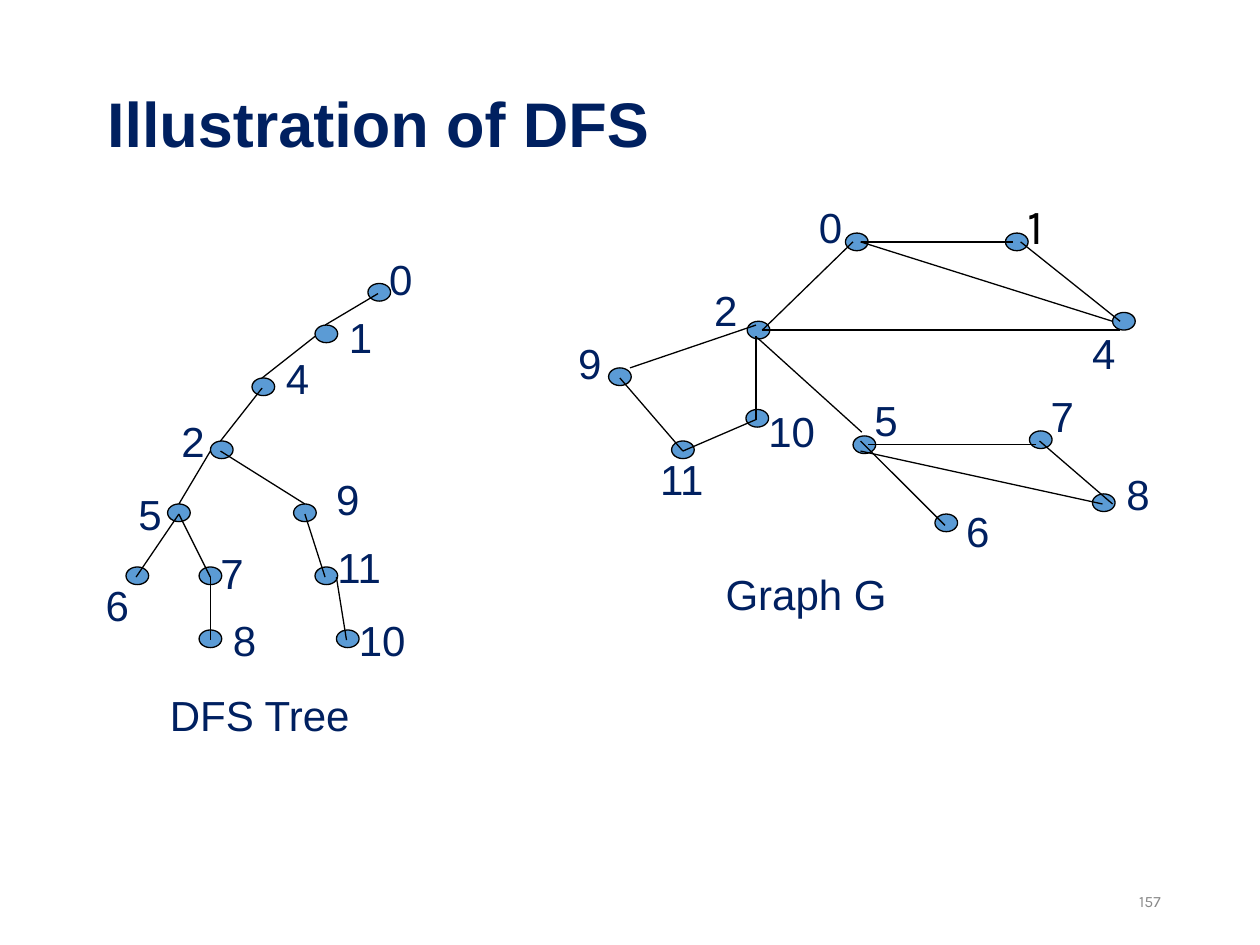
"""Build the slide that compares graph G with its depth-first search tree."""
from dataclasses import dataclass

from lxml.etree import SubElement
from pptx import Presentation
from pptx.dml.color import RGBColor
from pptx.enum.shapes import MSO_CONNECTOR, MSO_SHAPE
from pptx.enum.text import MSO_ANCHOR as Anchor, MSO_AUTO_SIZE as AutoSize, PP_ALIGN as Align
from pptx.oxml.ns import qn
from pptx.shapes.base import BaseShape
from pptx.slide import Slide
from pptx.util import Emu, Pt

EMU_PER_PX = 9144
COLORS = {"ink": "002060", "node": "5B9BD5", "edge": "000000", "number": "898989"}
NODE_W, NODE_H = 18, 14
LABEL_H = 50
LABEL_WIDTHS = {1: 38, 2: 57}
LABEL_FONT = {"name": "Arial", "size": Pt(24), "bold": False}
TITLE_FONT = {"name": "Arial", "size": Pt(36), "bold": True}
NUMBER_FONT = {"name": "Karla", "size": Pt(9)}
ODD_LABEL_FONT = {"name": "Karla", "size": Pt(28)}
LABEL_FRAME = {"word_wrap": False, "auto_size": AutoSize.SHAPE_TO_FIT_TEXT}
FIXED_FRAME = {"word_wrap": True, "auto_size": AutoSize.NONE, "vertical_anchor": Anchor.MIDDLE}


@dataclass(frozen=True)
class Vertex:
    name: str
    x: int
    y: int
    label_x: int
    label_y: int


@dataclass(frozen=True)
class Edge:
    x1: int
    y1: int
    x2: int
    y2: int


@dataclass(frozen=True)
class Caption:
    text: str
    x: int
    y: int
    width: int


@dataclass(frozen=True)
class Diagram:
    vertices: tuple[Vertex, ...]
    edges: tuple[Edge, ...]
    caption: Caption


GRAPH = Diagram(
    (
        Vertex("0", 671, 185, 640, 155),
        Vertex("1", 798, 185, 806, 150),
        Vertex("2", 593, 255, 557, 221),
        Vertex("4", 883, 248, 857, 255),
        Vertex("5", 677, 346, 684, 308),
        Vertex("6", 742, 408, 757, 396),
        Vertex("7", 817, 342, 824, 305),
        Vertex("8", 867, 392, 884, 367),
        Vertex("9", 483, 292, 449, 263),
        Vertex("10", 592, 325, 600, 317),
        Vertex("11", 533, 350, 514, 355),
    ),
    (
        Edge(683, 192, 804, 192),
        Edge(605, 262, 889, 262),
        Edge(605, 262, 677, 192),
        Edge(810, 192, 889, 255),
        Edge(689, 353, 822, 353),
        Edge(683, 192, 883, 255),
        Edge(684, 343, 601, 268),
        Edge(825, 350, 883, 400),
        Edge(683, 350, 750, 417),
        Edge(683, 358, 875, 400),
        Edge(600, 258, 500, 292),
        Edge(600, 267, 600, 333),
        Edge(492, 300, 542, 358),
        Edge(600, 333, 542, 358),
    ),
    Caption("Graph G", 566, 446, 148),
)

DFS_TREE = Diagram(
    (
        Vertex("0", 292, 225, 299, 196),
        Vertex("1", 250, 258, 267, 242),
        Vertex("4", 200, 300, 217, 275),
        Vertex("2", 167, 350, 134, 325),
        Vertex("5", 133, 400, 100, 383),
        Vertex("9", 233, 400, 257, 371),
        Vertex("6", 100, 450, 74, 455),
        Vertex("7", 158, 450, 165, 430),
        Vertex("8", 158, 500, 175, 483),
        Vertex("11", 250, 450, 258, 425),
        Vertex("10", 267, 500, 275, 483),
    ),
    (
        Edge(258, 258, 300, 233),
        Edge(208, 300, 250, 267),
        Edge(208, 308, 175, 350),
        Edge(142, 400, 167, 358),
        Edge(108, 458, 142, 408),
        Edge(142, 408, 167, 458),
        Edge(167, 458, 167, 508),
        Edge(175, 358, 242, 400),
        Edge(242, 408, 258, 458),
        Edge(267, 458, 275, 508),
    ),
    Caption("DFS Tree", 125, 542, 164),
)


def px(length: int) -> Emu:
    return Emu(length * EMU_PER_PX)


def rgb(role: str) -> RGBColor:
    return RGBColor.from_string(COLORS[role])


def apply(target: object, values: dict) -> None:
    for attribute, value in values.items():
        setattr(target, attribute, value)


def write(holder: BaseShape, text: str, font: dict, color: str, frame: dict,
          paragraph: dict | None = None) -> None:
    body = holder.text_frame
    body.text = text
    apply(body, frame)
    line = body.paragraphs[0]
    apply(line, paragraph or {})
    run_font = line.runs[0].font
    apply(run_font, font)
    run_font.color.rgb = rgb(color)


def add_label(slide: Slide, caption: Caption, font: dict, color: str) -> None:
    box = slide.shapes.add_textbox(*map(px, (caption.x, caption.y, caption.width, LABEL_H)))
    write(box, caption.text, font, color, LABEL_FRAME)


def add_vertex(slide: Slide, vertex: Vertex) -> None:
    dot = slide.shapes.add_shape(MSO_SHAPE.OVAL, *map(px, (vertex.x, vertex.y, NODE_W, NODE_H)))
    dot.shadow.inherit = False
    dot.fill.solid()
    dot.fill.fore_color.rgb = rgb("node")
    dot.line.color.rgb = rgb("edge")
    dot.line.width = Pt(0.75)


def add_edge(slide: Slide, edge: Edge) -> None:
    link = slide.shapes.add_connector(
        MSO_CONNECTOR.STRAIGHT, *map(px, (edge.x1, edge.y1, edge.x2, edge.y2)))
    link.line.color.rgb = rgb("edge")
    link.line.width = Pt(0.75)
    SubElement(link._element.spPr, qn("a:effectLst"))


def draw(slide: Slide, diagram: Diagram, odd_label: str = "") -> None:
    for vertex in diagram.vertices:
        add_vertex(slide, vertex)
    for edge in diagram.edges:
        add_edge(slide, edge)
    for vertex in diagram.vertices:
        odd = vertex.name == odd_label
        name = Caption(vertex.name, vertex.label_x, vertex.label_y, LABEL_WIDTHS[len(vertex.name)])
        add_label(slide, name, ODD_LABEL_FONT if odd else LABEL_FONT, "edge" if odd else "ink")
    add_label(slide, diagram.caption, LABEL_FONT, "ink")


def main() -> None:
    deck = Presentation()
    apply(deck, {"slide_width": px(1000), "slide_height": px(750)})
    slide = deck.slides.add_slide(deck.slide_layouts[5])
    heading = slide.shapes.title
    apply(heading, {"left": px(75), "top": px(67), "width": px(850), "height": px(67)})
    write(heading, "Illustration of DFS", TITLE_FONT, "ink", FIXED_FRAME,
          {"alignment": Align.LEFT, "line_spacing": 0.9})
    page_number = slide.shapes.add_textbox(*map(px, (706, 695, 225, 40)))
    write(page_number, "157", NUMBER_FONT, "number", FIXED_FRAME, {"alignment": Align.RIGHT})
    draw(slide, GRAPH, odd_label="1")
    draw(slide, DFS_TREE)
    deck.save("out.pptx")


if __name__ == "__main__":
    main()
